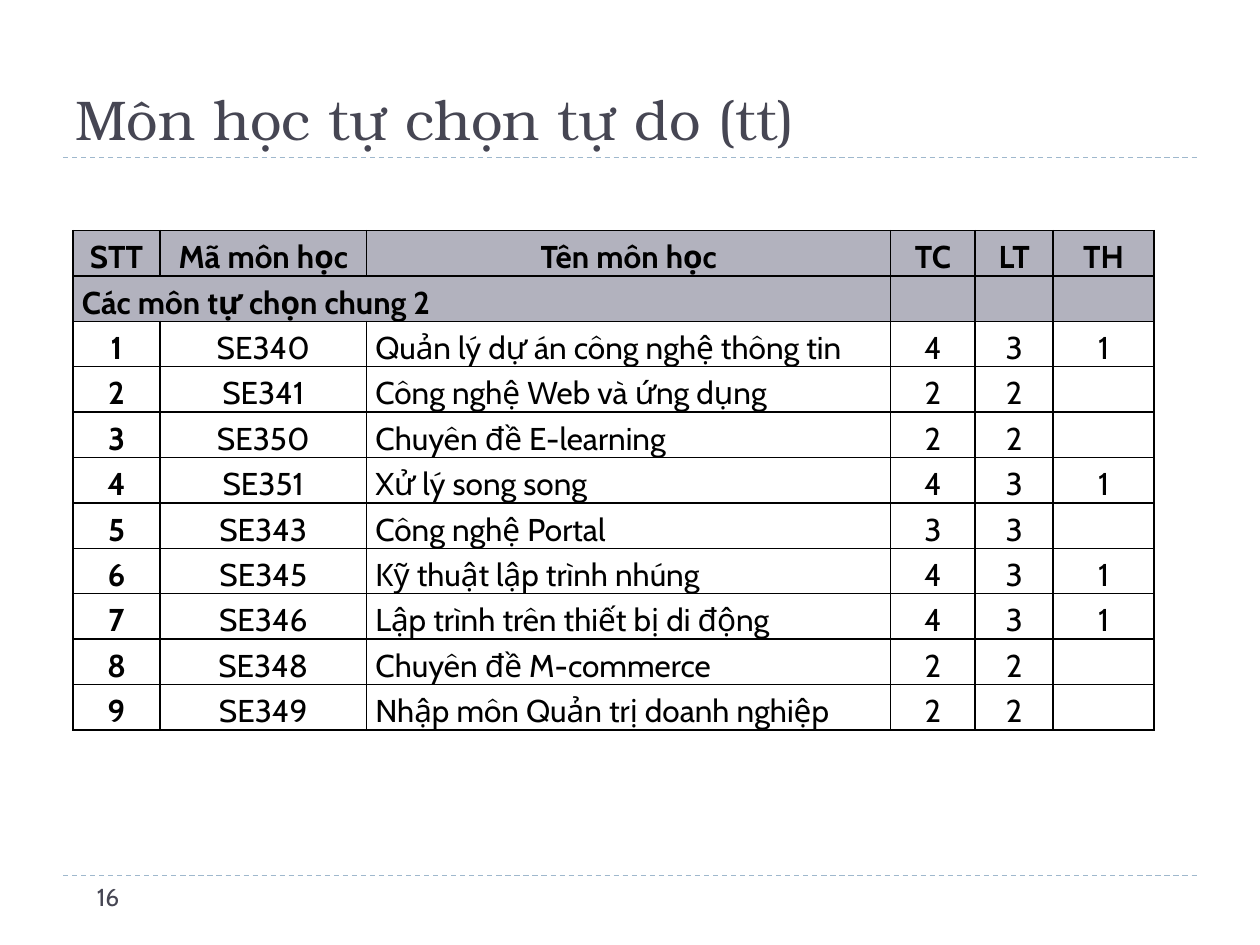
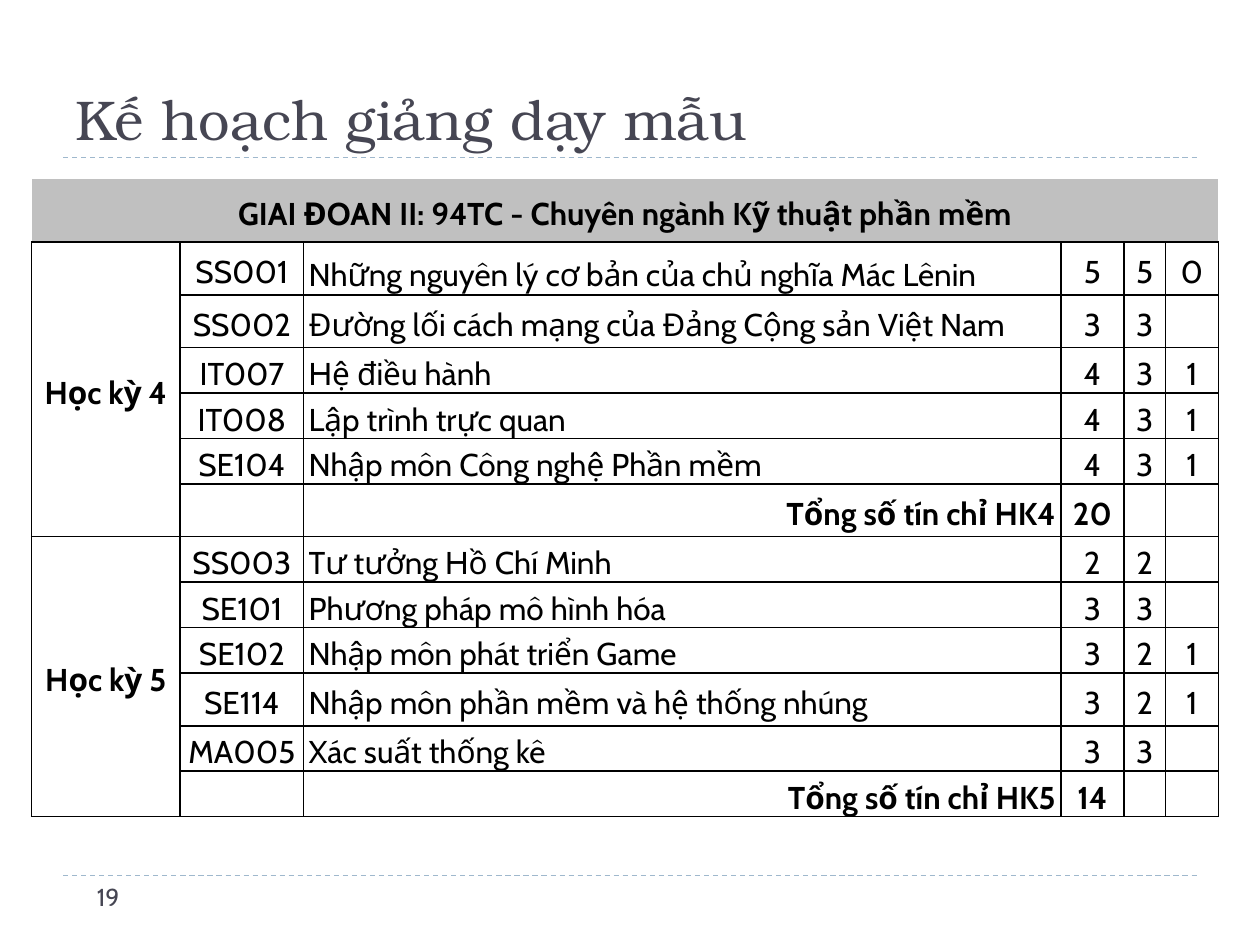
from dataclasses import dataclass, replace
from typing import Optional

from lxml.etree import SubElement
from pptx import Presentation
from pptx.dml.color import RGBColor
from pptx.enum.dml import MSO_LINE
from pptx.enum.shapes import MSO_CONNECTOR
from pptx.enum.text import MSO_ANCHOR, PP_ALIGN
from pptx.oxml import parse_xml
from pptx.oxml.ns import nsdecls, qn
from pptx.util import Inches, Pt


@dataclass(frozen=True)
class Theme:
    heading_font: str = "TeX Gyre Bonum"
    body_font: str = "Cabin"
    slate: str = "464653"
    rule: str = "9FB8CD"
    black: str = "000000"
    lavender: str = "B2B2BE"
    silver: str = "C0C0C0"
    title_size: int = 32
    table_size: int = 18
    number_size: int = 14
    line_spacing: float = 1.2


THEME = Theme()


@dataclass(frozen=True)
class CellStyle:
    align: PP_ALIGN = PP_ALIGN.CENTER
    bold: bool = False
    fill: Optional[str] = None
    anchor: MSO_ANCHOR = MSO_ANCHOR.MIDDLE
    margin: float = 0.07
    space_before: int = 0
    borders: str = "LRTB"


@dataclass(frozen=True)
class Course:
    code: str
    name: str
    theory: int
    lab: Optional[int] = None
    anchor: MSO_ANCHOR = MSO_ANCHOR.MIDDLE

    @property
    def credits(self) -> int:
        return self.theory + (self.lab or 0)

    @property
    def hours(self) -> list[str]:
        lab = "" if self.lab is None else str(self.lab)
        return [str(self.credits), str(self.theory), lab]


@dataclass(frozen=True)
class Semester:
    number: int
    courses: list[Course]


ELECTIVES = [
    Course("SE340", "Quản lý dự án công nghệ thông tin", 3, 1),
    Course("SE341", "Công nghệ Web và ứng dụng", 2),
    Course("SE350", "Chuyên đề E-learning", 2),
    Course("SE351", "Xử lý song song", 3, 1),
    Course("SE343", "Công nghệ Portal", 3),
    Course("SE345", "Kỹ thuật lập trình nhúng", 3, 1),
    Course("SE346", "Lập trình trên thiết bị di động", 3, 1),
    Course("SE348", "Chuyên đề M-commerce", 2),
    Course("SE349", "Nhập môn Quản trị doanh nghiệp", 2),
]

SEMESTERS = [
    Semester(4, [
        Course("SS001", "Những nguyên lý cơ bản của chủ nghĩa Mác Lênin", 5, 0,
               MSO_ANCHOR.BOTTOM),
        Course("SS002", "Đường lối cách mạng của Đảng Cộng sản Việt Nam", 3),
        Course("IT007", "Hệ điều hành", 3, 1),
        Course("IT008", "Lập trình trực quan", 3, 1),
        Course("SE104", "Nhập môn Công nghệ Phần mềm", 3, 1),
    ]),
    Semester(5, [
        Course("SS003", "Tư tưởng Hồ Chí Minh", 2),
        Course("SE101", "Phương pháp mô hình hóa", 3),
        Course("SE102", "Nhập môn phát triển Game", 2, 1),
        Course("SE114", "Nhập môn phần mềm và hệ thống nhúng", 2, 1),
        Course("MA005", "Xác suất thống kê", 3),
    ]),
]


def style_font(font, name: str, size: int, color: str, bold: bool = False) -> None:
    font.name = name
    font.size = Pt(size)
    font.color.rgb = RGBColor.from_string(color)
    font.bold = bold


# Shared slide frame
def add_rule(slide, y: float) -> None:
    line = slide.shapes.add_connector(
        MSO_CONNECTOR.STRAIGHT, Inches(0.5), Inches(y), Inches(9.5), Inches(y))
    line.line.color.rgb = RGBColor.from_string(THEME.rule)
    line.line.width = Pt(0.75)
    line.line.dash_style = MSO_LINE.DASH
    SubElement(line._element.spPr, qn("a:effectLst"))


def add_text(slide, text: str, box: tuple, font: str, size: int,
             anchor: MSO_ANCHOR) -> None:
    sp = slide.shapes.add_textbox(*map(Inches, box))
    tf = sp.text_frame
    tf.word_wrap = True
    tf.vertical_anchor = anchor
    tf.text = text
    style_font(tf.paragraphs[0].runs[0].font, font, size, THEME.slate)


def add_framed_slide(prs, title: str, number: int):
    slide = prs.slides.add_slide(prs.slide_layouts[6])
    for y in (6.95, 1.25):
        add_rule(slide, y)
    add_text(slide, title, (0.5, 0.17, 9, 1.08),
             THEME.heading_font, THEME.title_size, MSO_ANCHOR.BOTTOM)
    add_text(slide, str(number), (0.67, 6.95, 2.17, 0.4),
             THEME.body_font, THEME.number_size, MSO_ANCHOR.TOP)
    return slide


# Tables
def add_grid(slide, left: float, top: float, widths: list[float],
             heights: list[float]):
    frame = slide.shapes.add_table(
        len(heights), len(widths), Inches(left), Inches(top),
        Inches(sum(widths)), Inches(sum(heights)))
    table = frame.table
    table.first_row = table.horz_banding = False
    for column, width in zip(table.columns, widths):
        column.width = Inches(width)
    for row, height in zip(table.rows, heights):
        row.height = Inches(height)
    return table


def set_borders(cell, sides: str) -> None:
    tc_pr = cell._tc.get_or_add_tcPr()
    for index, side in enumerate("LRTB"):
        paint = (f'<a:solidFill><a:srgbClr val="{THEME.black}"/></a:solidFill>'
                 if side in sides else "<a:noFill/>")
        tc_pr.insert(index, parse_xml(
            f'<a:ln{side} {nsdecls("a")} w="{Pt(1)}">{paint}</a:ln{side}>'))


def fill_cell(cell, text: str, style: CellStyle) -> None:
    cell.margin_left = cell.margin_right = Inches(style.margin)
    cell.margin_top = cell.margin_bottom = 0
    cell.vertical_anchor = style.anchor
    if style.fill:
        cell.fill.solid()
        cell.fill.fore_color.rgb = RGBColor.from_string(style.fill)
    else:
        cell.fill.background()
    set_borders(cell, style.borders)
    p = cell.text_frame.paragraphs[0]
    p.text = text
    p.alignment = style.align
    p.line_spacing = THEME.line_spacing
    if style.space_before:
        p.space_before = Pt(style.space_before)
    for r in p.runs:
        style_font(r.font, THEME.body_font, THEME.table_size, THEME.black, style.bold)
    if not text:
        # Keeps an empty cell from stretching its row
        SubElement(p._p, qn("a:endParaRPr"), sz=str(THEME.table_size * 100))


def fill_row(table, row: int, texts: list[str], styles: list[CellStyle]) -> None:
    for col, (text, style) in enumerate(zip(texts, styles)):
        fill_cell(table.cell(row, col), text, style)


# Free electives
def build_electives(prs) -> None:
    slide = add_framed_slide(prs, "Môn học tự chọn tự do (tt)", 16)
    widths = [0.69, 1.64, 4.16, 0.67, 0.62, 0.8]
    table = add_grid(slide, 0.58, 1.83, widths, [0.31] * (len(ELECTIVES) + 2))
    plain = CellStyle()
    name = replace(plain, align=PP_ALIGN.JUSTIFY)
    header = replace(plain, bold=True, fill=THEME.lavender)
    group = replace(header, align=PP_ALIGN.JUSTIFY)

    fill_row(table, 0, ["STT", "Mã môn học", "Tên môn học", "TC", "LT", "TH"],
             [header] * 6)
    fill_row(table, 1, ["Các môn tự chọn chung 2"] + [""] * 5, [group] * 6)
    table.cell(1, 0).merge(table.cell(1, 2))
    styles = [replace(plain, bold=True), plain, name, plain, plain, plain]
    for index, course in enumerate(ELECTIVES, start=1):
        fill_row(table, index + 1,
                 [str(index), course.code, course.name, *course.hours], styles)


# Sample teaching plan
def build_plan(prs) -> None:
    slide = add_framed_slide(prs, "Kế hoạch giảng dạy mẫu", 19)
    widths = [1.18, 0.98, 6.01, 0.5, 0.33, 0.42]
    heights = [0.5, 0.42, 0.42, 0.34, 0.34, 0.36, 0.42,
               0.34, 0.34, 0.34, 0.42, 0.34, 0.34]
    table = add_grid(slide, 0.25, 1.42, widths, heights)
    plain = CellStyle(margin=0.04)
    bold = replace(plain, bold=True)
    name = replace(plain, align=PP_ALIGN.JUSTIFY)
    total = replace(bold, align=PP_ALIGN.RIGHT)
    banner = replace(bold, fill=THEME.silver, space_before=12, borders="B")

    fill_row(table, 0,
             ["GIAI ĐOAN II: 94TC - Chuyên ngành Kỹ thuật phần mềm"] + [""] * 5,
             [banner] * 6)
    table.cell(0, 0).merge(table.cell(0, 5))
    row = 1
    for semester in SEMESTERS:
        first = row
        label = f"Học kỳ {semester.number}"
        for course in semester.courses:
            fill_row(table, row,
                     [label if row == first else "", course.code, course.name,
                      *course.hours],
                     [bold, plain, replace(name, anchor=course.anchor)] + [plain] * 3)
            row += 1
        credits = sum(course.credits for course in semester.courses)
        fill_row(table, row,
                 ["", "", f"Tổng số tín chỉ HK{semester.number}", str(credits), "", ""],
                 [bold, plain, total, bold, plain, plain])
        table.cell(first, 0).merge(table.cell(row, 0))
        row += 1


def main() -> None:
    prs = Presentation()
    prs.slide_width = Inches(10)
    prs.slide_height = Inches(7.5)
    build_electives(prs)
    build_plan(prs)
    prs.save("out.pptx")


if __name__ == "__main__":
    main()
